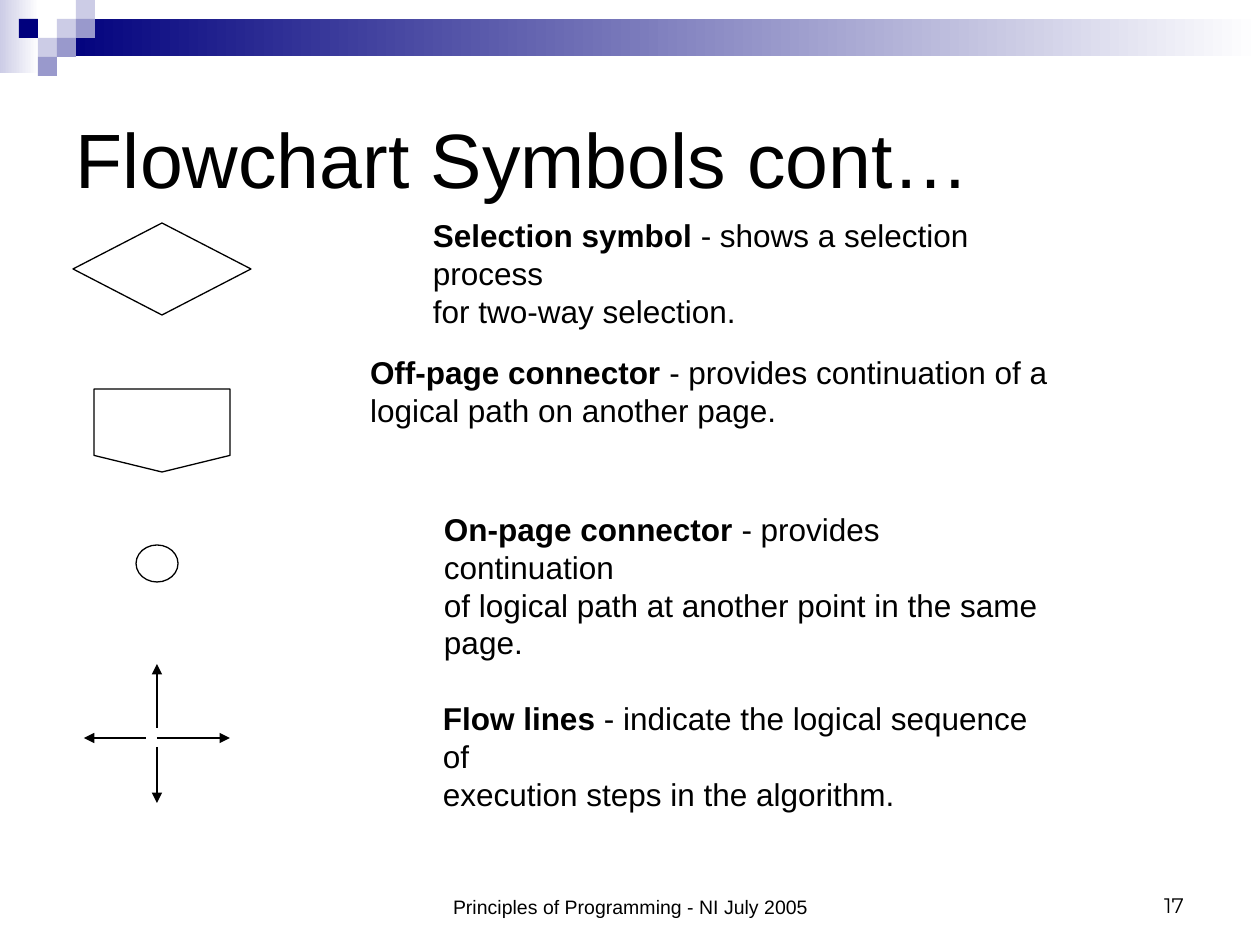
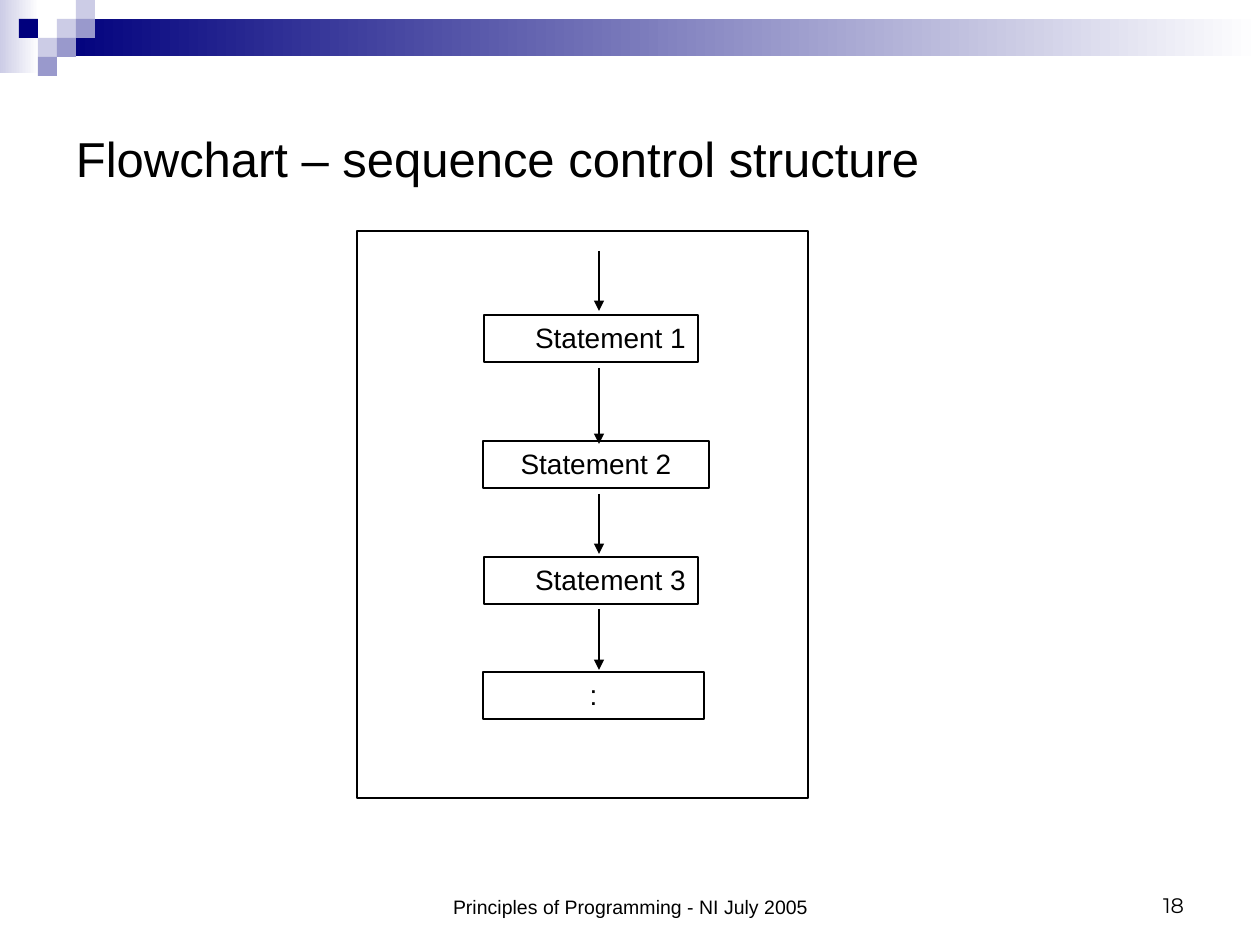
from lxml import etree
from pptx import Presentation
from pptx.dml.color import RGBColor
from pptx.enum.shapes import MSO_CONNECTOR, MSO_SHAPE
from pptx.enum.text import MSO_ANCHOR, PP_ALIGN
from pptx.oxml.ns import qn
from pptx.util import Pt

PX = 914400 / 126  # EMU per px; the slide is 1260 x 945 px
SLIDE_W, SLIDE_H = 1260, 945
COLORS = {"ink": "000000", "navy": "00007D", "lilac": "9999CC",
          "pale": "CCCCE6", "white": "FFFFFF"}
FONT, NUMBER_FONT = "Arial", "Montserrat"
FOOTER = "Principles of Programming - NI July 2005"
INSET_X, INSET_Y = 13, 6

RECT = MSO_SHAPE.RECTANGLE
DECISION = MSO_SHAPE.FLOWCHART_DECISION
OFFPAGE = MSO_SHAPE.FLOWCHART_OFFPAGE_CONNECTOR
ONPAGE = MSO_SHAPE.FLOWCHART_CONNECTOR
STRAIGHT = MSO_CONNECTOR.STRAIGHT
LEFT, CENTER, RIGHT = PP_ALIGN.LEFT, PP_ALIGN.CENTER, PP_ALIGN.RIGHT
TOP, MIDDLE, BOTTOM = MSO_ANCHOR.TOP, MSO_ANCHOR.MIDDLE, MSO_ANCHOR.BOTTOM


def emu(*lengths):
    return [round(v * PX) for v in lengths]


def rgb(name):
    return RGBColor.from_string(COLORS[name])


def add_shape(s, kind, box, fill=None, fade=False, line=None):
    """Add a preset shape; fade runs the fill out to white on the right."""
    sp = s.shapes.add_shape(kind, *emu(*box))
    sp.shadow.inherit = False
    if fade:
        sp.fill.gradient()
        sp.fill.gradient_angle = 0
        for stop, name in zip(sp.fill.gradient_stops, (fill, "white")):
            stop.color.rgb = rgb(name)
    elif fill:
        sp.fill.solid()
        sp.fill.fore_color.rgb = rgb(fill)
    else:
        sp.fill.background()
    if line:
        sp.line.color.rgb = rgb(line)
        sp.line.width = Pt(0.75)
    else:
        sp.line.fill.background()
    return sp


def write(sp, text, size=18, font=FONT, lead="", align=LEFT, anchor=TOP,
          wrap=True, inset_left=INSET_X):
    """Write text, one paragraph a line, after an optional bold lead."""
    tf = sp.text_frame
    tf.word_wrap = wrap
    tf.vertical_anchor = anchor
    tf.margin_left, tf.margin_right = emu(inset_left, INSET_X)
    tf.margin_top, tf.margin_bottom = emu(INSET_Y, INSET_Y)
    for i, line in enumerate(text.split("\n")):
        p = tf.paragraphs[0] if i == 0 else tf.add_paragraph()
        p.alignment = align
        runs = [(lead, True)] if lead and i == 0 else []
        for part, bold in runs + [(line, False)]:
            r = p.add_run()
            r.text = part
            r.font.name = font
            r.font.size = Pt(size)
            r.font.bold = bold
            r.font.color.rgb = rgb("ink")


def add_text(s, box, text, **fmt):
    write(s.shapes.add_textbox(*emu(*box)), text, **fmt)


def add_arrow(s, x1, y1, x2, y2):
    c = s.shapes.add_connector(STRAIGHT, *emu(x1, y1, x2, y2))
    c.line.color.rgb = rgb("ink")
    c.line.width = Pt(0.75)
    etree.SubElement(c.line._get_or_add_ln(), qn("a:tailEnd"), type="triangle")
    etree.SubElement(c._element.spPr, qn("a:effectLst"))


def draw_band(s):
    """Fading bars with a checker of small squares."""
    add_shape(s, RECT, (0, 0, 39, 73), "pale", fade=True)
    add_shape(s, RECT, (57, 19, SLIDE_W - 57, 37), "navy", fade=True)
    unit = 19
    for col, row, fill in ((3, 1, "pale"), (4, 0, "pale"), (4, 1, "lilac"),
                           (2, 2, "pale"), (1, 1, "navy"), (3, 2, "lilac"),
                           (2, 3, "lilac")):
        add_shape(s, RECT, (col * unit, row * unit, unit, unit), fill)


def new_slide(prs, title, title_size, number):
    """Blank slide with the band, footer and title."""
    s = prs.slides.add_slide(prs.slide_layouts[6])
    draw_band(s)
    add_text(s, (431, 861, 399, 63), FOOTER, size=11.1, align=CENTER, anchor=BOTTOM)
    add_text(s, (903, 861, 294, 63), str(number), size=12, font=NUMBER_FONT,
             align=RIGHT, anchor=BOTTOM)
    add_text(s, (63, 63, 1134, 189), title, size=title_size, anchor=MIDDLE)
    return s


def draw_symbols(s, x, y):
    """Column of flowchart symbols, with flow lines at its foot."""
    for kind, dx, dy, w, h in ((DECISION, 0, 0, 178, 92),
                               (OFFPAGE, 21, 166, 136, 83),
                               (ONPAGE, 63, 322, 42, 37)):
        add_shape(s, kind, (x + dx, y + dy, w, h), line="ink")
    cx, cy = x + 84, y + 515
    add_arrow(s, cx, cy - 10, cx, cy - 74)
    add_arrow(s, cx, cy, cx + 73, cy)
    add_arrow(s, cx, cy + 9, cx, cy + 65)
    add_arrow(s, cx - 11, cy, cx - 73, cy)


def draw_descriptions(s, x, y):
    """Meaning of each symbol: offset and size, wrap, bold lead, text."""
    for dx, dy, w, h, wrap, lead, text in (
            (63, 0, 679, 88, False, "Selection symbol",
             " - shows a selection process\nfor two-way selection."),
            (0, 137, 788, 88, True, "Off-page connector ",
             "- provides continuation of a logical path on another page."),
            (74, 294, 639, 126, False, "On-page connector ",
             "- provides continuation\n"
             "of logical path at another point in the same\npage."),
            (73, 483, 645, 88, False, "Flow lines",
             " - indicate the logical sequence of\n"
             "execution steps in the algorithm.")):
        add_text(s, (x + dx, y + dy, w, h), text, lead=lead, wrap=wrap)


def draw_sequence(s, x, y, w, h):
    """Framed chain of statements, each with an arrow leading into it."""
    add_shape(s, RECT, (x, y, w, h), line="ink")
    # text, left, top, width, left inset, arrow start and end
    for text, dx, dy, bw, inset, start, end in (
            ("Statement 1", 127, 84, 214, 52, 20, 80),
            ("Statement 2", 126, 210, 226, INSET_X, 137, 213),
            ("Statement 3", 127, 326, 214, 52, 263, 323),
            (":", 126, 441, 221, INSET_X, 378, 439)):
        sp = add_shape(s, RECT, (x + dx, y + dy, bw, 47), line="ink")
        write(sp, text, size=16, align=CENTER, inset_left=inset,
              wrap=inset == INSET_X)
        add_arrow(s, x + 242, y + start, x + 242, y + end)


def main():
    prs = Presentation()
    prs.slide_width, prs.slide_height = emu(SLIDE_W, SLIDE_H)

    s = new_slide(prs, "Flowchart Symbols cont…", 44, 17)
    draw_symbols(s, 73, 223)
    draw_descriptions(s, 357, 210)

    s = new_slide(prs, "Flowchart – sequence control structure", 28, 18)
    draw_sequence(s, 357, 231, 451, 567)

    prs.save("out.pptx")


if __name__ == "__main__":
    main()
